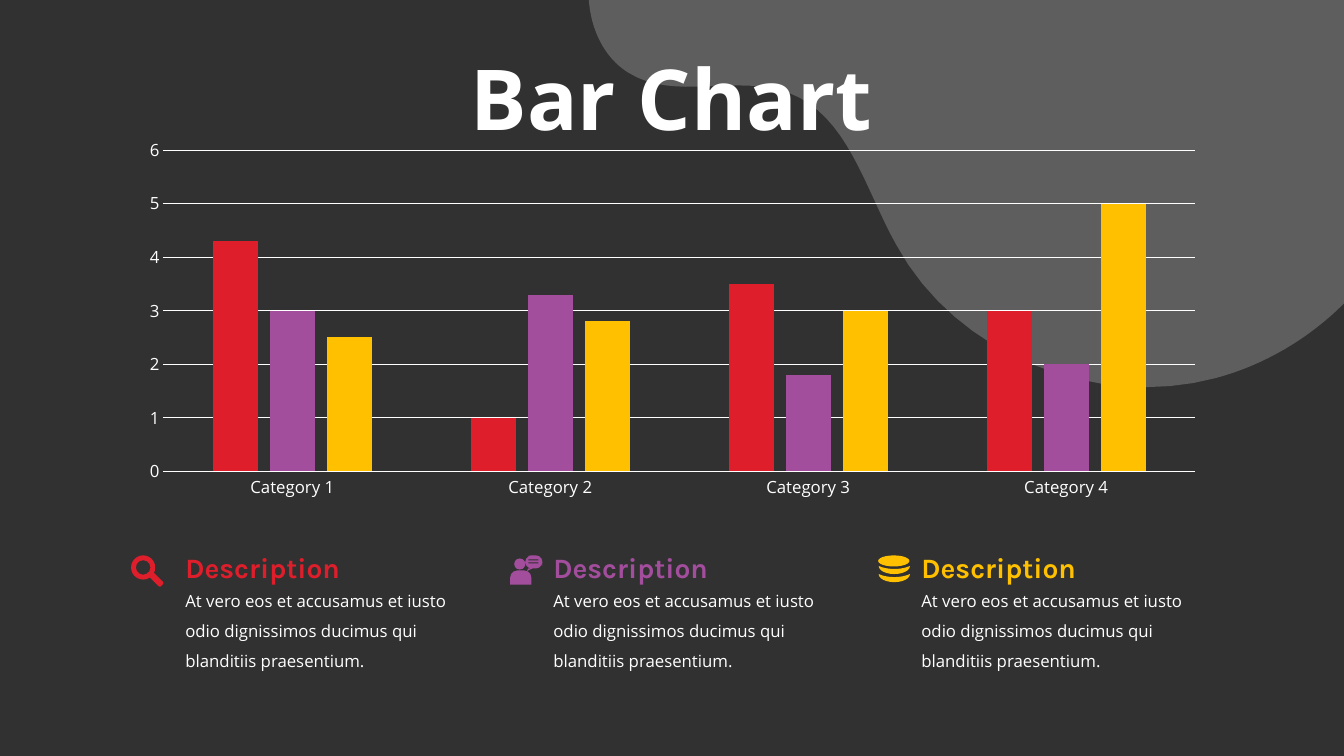
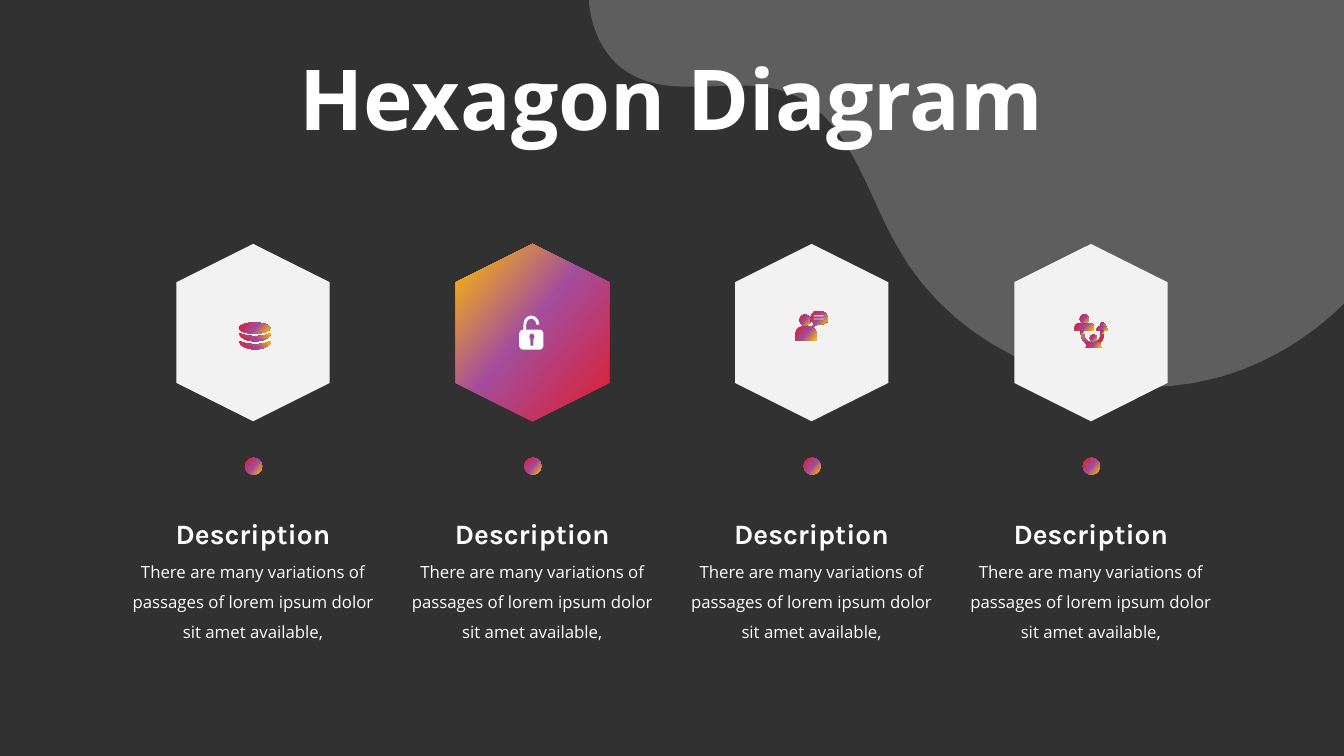
import copy
from dataclasses import dataclass

import pptx
import pptx.chart.data
import pptx.dml.color
import pptx.enum.chart
import pptx.enum.shapes
import pptx.enum.text
import pptx.oxml
import pptx.oxml.ns
import pptx.util

RGB = pptx.dml.color.RGBColor.from_string
IN = pptx.util.Inches
PT = pptx.util.Pt
ALIGN = pptx.enum.text.PP_ALIGN
SHAPE = pptx.enum.shapes.MSO_SHAPE
qn = pptx.oxml.ns.qn


@dataclass(frozen=True)
class Theme:
    dark: str = "313131"
    white: str = "FFFFFF"
    pale: str = "F2F2F2"
    red: str = "DF1E2C"
    purple: str = "A34D9D"
    yellow: str = "FFC000"
    blob_alpha: int = 22
    display: str = "Open Sans"
    accent: str = "Karla"
    title_size: int = 60
    heading_size: int = 20
    body_size: int = 12

    @property
    def series(self):
        return self.red, self.purple, self.yellow

    @property
    def stops(self):
        return zip((0, 0.53, 1), self.series)


T = Theme()
TITLE_FONT = dict(name=T.display, size=PT(T.title_size), bold=True)
HEADING_FONT = dict(name=T.accent, size=PT(T.heading_size), bold=True)
BODY_FONT = dict(name=T.display, size=PT(T.body_size), bold=False)
GRADIENT = 40       # paint given as a number is the angle of the theme gradient
HEX_GRADIENT = 130

# The blob's edge: a start point, then cubic curves, in inches.
BLOB_START = (5.84, 0)
BLOB_CURVES = [((5.86, 0.29), (5.99, 0.57), (6.23, 0.72)),
               ((6.69, 1.01), (7.31, 0.73), (7.82, 0.92)),
               ((8.41, 1.14), (8.58, 1.88), (8.89, 2.43)),
               ((9.48, 3.52), (10.87, 4.07), (12.06, 3.75)),
               ((12.54, 3.62), (12.98, 3.36), (13.33, 3.01))]

# Icon parts: shape, box in hundredths of an inch, then optional formats.
# A part marked "cut" takes the colour behind the icon.
ROUND_TOP = dict(adjust=(0.5, 0))
DISK_EDGE = dict(adjust=(0.63,), rotation=270)
ICONS = {
    "disks": [(SHAPE.OVAL, (0, 0, 31, 11), {}),
              (SHAPE.MOON, (12, -1, 8, 31), DISK_EDGE),
              (SHAPE.MOON, (12, 7, 8, 31), DISK_EDGE)],
    "speaker": [(SHAPE.ROUND_2_SAME_RECTANGLE, (0, 15, 21, 14), ROUND_TOP),
                (SHAPE.OVAL, (4, 3, 11, 11), {}),
                (SHAPE.ROUNDED_RECTANGULAR_CALLOUT, (15, 0, 17, 13),
                 dict(adjust=(-0.4, 0.7, 0.5))),
                (SHAPE.RECTANGLE, (18, 4, 10, 1), dict(cut=True)),
                (SHAPE.RECTANGLE, (18, 7, 10, 1), dict(cut=True))],
    "magnifier": [(SHAPE.DONUT, (0, 0, 24, 24), dict(adjust=(0.2,))),
                  (SHAPE.ROUNDED_RECTANGLE, (17, 21, 16, 6),
                   dict(adjust=(0.3,), rotation=45))],
    "lock": [(SHAPE.ROUNDED_RECTANGLE, (0, 14, 24, 20), dict(adjust=(0.2,))),
             (SHAPE.BLOCK_ARC, (4, 0, 16, 18), dict(adjust=(108, 0, 0.19))),
             (SHAPE.RECTANGLE, (4, 9, 3, 6), {}),
             (SHAPE.OVAL, (10, 18, 5, 6), dict(cut=True)),
             (SHAPE.RECTANGLE, (11, 22, 3, 8), dict(cut=True))],
    "team": [(SHAPE.OVAL, (15, 20, 7, 7), {}),
             (SHAPE.OVAL, (25, 8, 5, 5), {}),
             (SHAPE.OVAL, (5, 0, 9, 9), {}),
             (SHAPE.ROUND_2_SAME_RECTANGLE, (0, 9, 19, 7), ROUND_TOP),
             (SHAPE.ROUND_2_SAME_RECTANGLE, (22, 12, 10, 4), ROUND_TOP),
             (SHAPE.BLOCK_ARC, (6, 7, 23, 24),
              dict(adjust=(108, 0, 0.13), rotation=180)),
             (SHAPE.RECTANGLE, (6, 16, 3, 3), {}),
             (SHAPE.RECTANGLE, (26, 16, 3, 3), {}),
             (SHAPE.TRAPEZOID, (11, 28, 15, 5), {})],
}


def set_all(obj, values):
    for name, value in values.items():
        setattr(obj, name, value)


def paint(sp, fill):
    """Fill with a colour, or with the theme gradient at an angle."""
    sp.shadow.inherit = False
    sp.line.fill.background()
    if isinstance(fill, str):
        sp.fill.solid()
        sp.fill.fore_color.rgb = RGB(fill)
        return
    sp.fill.gradient()
    gs_list = sp._element.spPr.find(".//" + qn("a:gsLst"))
    gs_list.append(copy.deepcopy(gs_list[0]))
    for stop, (position, colour) in zip(sp.fill.gradient_stops, T.stops):
        stop.position = position
        stop.color.rgb = RGB(colour)
    sp.fill.gradient_angle = 360 - fill


def flatten(start, curves, steps=16):
    """Turn a chain of cubic curves into points."""
    points = [start]
    for curve in curves:
        ends = (points[-1], *curve)
        for i in range(1, steps + 1):
            t = i / steps
            u = 1 - t
            weights = (u ** 3, 3 * t * u * u, 3 * t * t * u, t ** 3)
            points.append(tuple(sum(w * p[axis] for w, p in zip(weights, ends))
                                for axis in (0, 1)))
    return points


def add_blob(s):
    """Put the see-through blob behind everything else on the slide."""
    corner = (BLOB_CURVES[-1][-1][0], 0)
    points = [(IN(x), IN(y))
              for x, y in flatten(BLOB_START, BLOB_CURVES) + [corner]]
    builder = s.shapes.build_freeform(*points[0])
    builder.add_line_segments(points[1:], close=True)
    sp = builder.convert_to_shape()
    paint(sp, T.white)
    alpha = pptx.oxml.parse_xml(
        '<a:alpha xmlns:a="http://schemas.openxmlformats.org/drawingml/2006/main"'
        f' val="{T.blob_alpha * 1000}"/>')
    sp._element.spPr.find(".//" + qn("a:srgbClr")).append(alpha)
    s.shapes._spTree.insert(2, sp._element)


def add_preset(shapes, kind, x, y, w, h, fill, adjust=(), rotation=0):
    sp = shapes.add_shape(kind, IN(x), IN(y), IN(w), IN(h))
    paint(sp, fill)
    sp.rotation = rotation
    for i, value in enumerate(adjust):
        sp.adjustments[i] = value


def add_icon(s, name, x, y, fill, behind):
    shapes = s.shapes.add_group_shape().shapes
    for kind, box, formats in ICONS[name]:
        formats = dict(formats)
        colour = behind if formats.pop("cut", False) else fill
        left, top, w, h = (n / 100 for n in box)
        add_preset(shapes, kind, x + left, y + top, w, h, colour, **formats)


def write(tf, text, font, colour, **paragraph):
    tf.word_wrap = True
    p = tf.paragraphs[0]
    set_all(p, paragraph)
    r = p.add_run()
    r.text = text
    set_all(r.font, font)
    r.font.color.rgb = RGB(colour)


def add_text(s, x, y, w, h, *content, **paragraph):
    tf = s.shapes.add_textbox(IN(x), IN(y), IN(w), IN(h)).text_frame
    write(tf, *content, **paragraph)


def set_up_layout(prs):
    """Give the master its background and the layout its title position."""
    background = prs.slide_master.background.fill
    background.solid()
    background.fore_color.rgb = RGB(T.dark)
    layout = prs.slide_layouts.get_by_name("Title Only")
    set_all(layout.placeholders[0],
            dict(left=IN(2.22), top=IN(0.43), width=IN(8.88), height=IN(1.18)))
    return layout


def add_slide(prs, layout, title):
    s = prs.slides.add_slide(layout)
    add_blob(s)
    tf = s.shapes.title.text_frame
    tf.vertical_anchor = pptx.enum.text.MSO_ANCHOR.MIDDLE
    write(tf, title, TITLE_FONT, T.white, alignment=ALIGN.CENTER,
          line_spacing=0.9, space_before=PT(10))
    return s


def white_line(line):
    line.color.rgb = RGB(T.white)
    line.width = PT(0.75)


def add_bar_chart(s):
    data = pptx.chart.data.CategoryChartData()
    data.categories = [f"Category {i}" for i in range(1, 5)]
    rows = ((4.3, 1, 3.5, 3), (3, 3.3, 1.8, 2), (2.5, 2.8, 3, 5))
    for i, values in enumerate(rows, 1):
        data.add_series(f"Series {i}", values)
    chart = s.shapes.add_chart(
        pptx.enum.chart.XL_CHART_TYPE.COLUMN_CLUSTERED,
        IN(1.27), IN(1.3), IN(10.8), IN(3.72), data).chart
    set_all(chart, dict(has_legend=False, has_title=False))
    set_all(chart.font, BODY_FONT)
    chart.font.color.rgb = RGB(T.white)
    plot = chart.plots[0]
    set_all(plot, dict(gap_width=219, overlap=-27, vary_by_categories=False))
    for series, colour in zip(plot.series, T.series):
        series.format.fill.solid()
        series.format.fill.fore_color.rgb = RGB(colour)
    values, categories = chart.value_axis, chart.category_axis
    for axis in (values, categories):
        axis.major_tick_mark = pptx.enum.chart.XL_TICK_MARK.NONE
    set_all(values, dict(minimum_scale=0, maximum_scale=6, major_unit=1))
    values.format.line.fill.background()
    white_line(values.major_gridlines.format.line)
    white_line(categories.format.line)


def build_chart_slide(prs, layout):
    s = add_slide(prs, layout, "Bar Chart")
    add_bar_chart(s)
    icons = (("magnifier", 0.44), ("speaker", 0.33), ("disks", 0.33))
    for i, ((icon, gap), colour) in enumerate(zip(icons, T.series)):
        x = 1.74 + 3.65 * i
        add_icon(s, icon, x - gap, 5.51, colour, T.dark)
        add_text(s, x, 5.71, 3, 0.98,
                 "At vero eos et accusamus et iusto odio dignissimos ducimus "
                 "qui blanditiis praesentium.",
                 BODY_FONT, T.white, line_spacing=1.5)
        add_text(s, x, 5.41, 1.98, 0.44, "Description", HEADING_FONT, colour)


def build_hexagon_slide(prs, layout):
    s = add_slide(prs, layout, "Hexagon Diagram")
    plain, vivid = (GRADIENT, T.pale, T.pale), (T.white, HEX_GRADIENT, T.purple)
    columns = (("disks", 0.14, 3.2, plain), ("lock", 0.13, 3.13, vivid),
               ("speaker", 0.16, 3.09, plain), ("team", 0.16, 3.12, plain))
    for i, (icon, shift, y, colours) in enumerate(columns):
        icon_fill, hex_fill, behind = colours
        center = 2.51 + 2.77 * i
        add_preset(s.shapes, SHAPE.HEXAGON, center - 0.88, 2.54, 1.76, 1.52,
                   hex_fill, adjust=(0.25,), rotation=90)
        add_icon(s, icon, center - shift, y, icon_fill, behind)
        add_preset(s.shapes, SHAPE.OVAL, center - 0.08, 4.54, 0.17, 0.17,
                   GRADIENT)
        add_text(s, center - 1.31, 5.42, 2.62, 1.01,
                 "There are many variations of passages of lorem ipsum dolor "
                 "sit amet available,",
                 BODY_FONT, T.white, alignment=ALIGN.CENTER, line_spacing=1.5)
        add_text(s, center - 1.52, 5.07, 3.04, 0.61, "Description",
                 HEADING_FONT, T.white, alignment=ALIGN.CENTER)


def main():
    prs = pptx.Presentation()
    set_all(prs, dict(slide_width=IN(13.33), slide_height=IN(7.5)))
    layout = set_up_layout(prs)
    build_chart_slide(prs, layout)
    build_hexagon_slide(prs, layout)
    prs.save("out.pptx")


if __name__ == "__main__":
    main()
